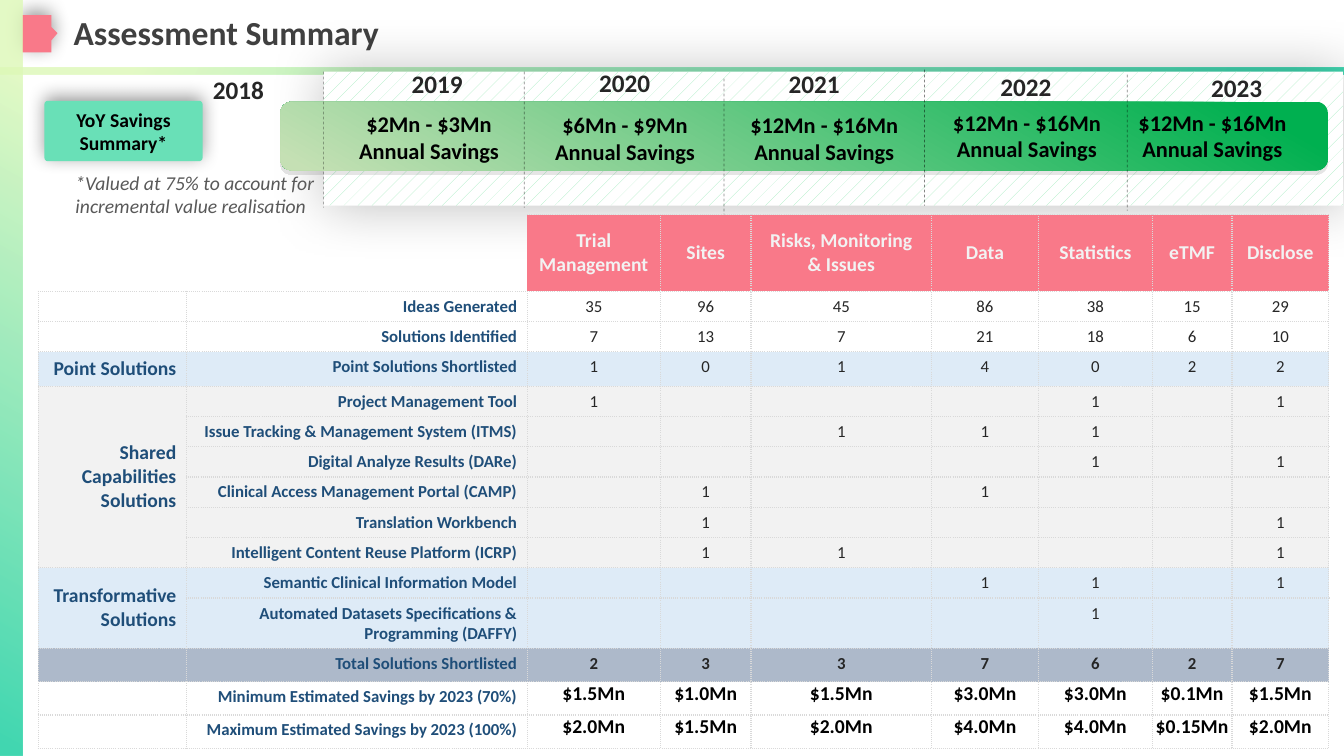
from dataclasses import dataclass

from lxml import etree
from pptx import Presentation
from pptx.dml.color import RGBColor
from pptx.enum.dml import MSO_LINE, MSO_PATTERN
from pptx.enum.shapes import MSO_CONNECTOR, MSO_SHAPE
from pptx.enum.text import MSO_ANCHOR, PP_ALIGN
from pptx.oxml import parse_xml
from pptx.oxml.ns import nsdecls, qn
from pptx.util import Pt

EMU_PER_PX = 9144  # 100 px to the inch
FONT = "Calibri"
LEFT, CENTER, RIGHT = PP_ALIGN.LEFT, PP_ALIGN.CENTER, PP_ALIGN.RIGHT
TOP, MIDDLE = MSO_ANCHOR.TOP, MSO_ANCHOR.MIDDLE
RECTANGLE, ROUNDED = MSO_SHAPE.RECTANGLE, MSO_SHAPE.ROUNDED_RECTANGLE
BLACK, DARK, NAVY, WHITE = "000000", "262626", "1F4E79", "FFFFFF"
CORAL, BLUE, GREY, STEEL = "F97989", "DEEBF7", "F2F2F2", "ADB9CA"


@dataclass
class Style:
    size: int
    color: str
    bold: bool = True
    italic: bool = False
    align: PP_ALIGN = CENTER
    anchor: MSO_ANCHOR = TOP


@dataclass
class YearSaving:
    """A year heading and the savings text beneath it, each with its own box."""
    year: str
    year_left: int
    year_top: int
    amount: str = ""
    left: int = 0
    top: int = 0
    width: int = 199


@dataclass
class Row:
    label: str
    values: list[str]
    height: int = 30
    fill: str = ""
    group: str = ""
    group_rows: int = 1


YEAR_STYLE = Style(18, DARK)
AMOUNT_STYLE = Style(16, BLACK)
HEADER_STYLE = Style(14, "F2F2F2", anchor=MIDDLE)
GROUP_STYLE = Style(14, NAVY, align=RIGHT, anchor=MIDDLE)
LABEL_STYLE = Style(12, NAVY, align=RIGHT)
VALUE_STYLE = Style(12, DARK, bold=False)
TOTAL_STYLE = Style(12, DARK)
MONEY_STYLE = Style(14, BLACK)

YEARS = [
    YearSaving("2018", 201, 69),
    YearSaving("2019", 398, 63, "$2Mn - $3Mn", 321, 104, 209),
    YearSaving("2020", 584, 62, "$6Mn - $9Mn", 525, 105, 190),
    YearSaving("2021", 772, 63, "$12Mn - $16Mn", 718, 105),
    YearSaving("2022", 982, 66, "$12Mn - $16Mn", 919, 103),
    YearSaving("2023", 1191, 67, "$12Mn - $16Mn", 1103, 103),
]
DIVIDERS = [(321, 71), (520, 71), (718, 78), (917, 69), (1118, 74)]
DIVIDER_HEIGHT = 135

COLUMN_WIDTHS = [147, 338, 132, 90, 179, 106, 113, 79, 96]
HEADERS = ["Trial Management", "Sites", "Risks, Monitoring & Issues", "Data",
           "Statistics", "eTMF", "Disclose"]
HEADER_HEIGHT = 76
ROWS = [
    Row("Ideas Generated", ["35", "96", "45", "86", "38", "15", "29"]),
    Row("Solutions Identified", ["7", "13", "7", "21", "18", "6", "10"]),
    Row("Point Solutions Shortlisted", ["1", "0", "1", "4", "0", "2", "2"], 34, BLUE,
        "Point Solutions"),
    Row("Project Management Tool", ["1", "", "", "", "1", "", "1"], 30, GREY,
        "Shared Capabilities Solutions", 6),
    Row("Issue Tracking & Management System (ITMS)",
        ["", "", "1", "1", "1", "", ""], 30, GREY),
    Row("Digital Analyze Results (DARe)", ["", "", "", "", "1", "", "1"], 30, GREY),
    Row("Clinical Access Management Portal (CAMP)",
        ["", "1", "", "1", "", "", ""], 30, GREY),
    Row("Translation Workbench", ["", "1", "", "", "", "", "1"], 30, GREY),
    Row("Intelligent Content Reuse Platform (ICRP)",
        ["", "1", "1", "", "", "", "1"], 30, GREY),
    Row("Semantic Clinical Information Model", ["", "", "", "1", "1", "", "1"], 30, BLUE,
        "Transformative Solutions", 2),
    Row("Automated Datasets Specifications & Programming (DAFFY)",
        ["", "", "", "", "1", "", ""], 50, BLUE),
    Row("Total Solutions Shortlisted", ["2", "3", "3", "7", "6", "2", "7"], 33, STEEL),
    Row("Minimum Estimated Savings by 2023 (70%)",
        ["$1.5Mn", "$1.0Mn", "$1.5Mn", "$3.0Mn", "$3.0Mn", "$0.1Mn", "$1.5Mn"], 33),
    Row("Maximum Estimated Savings by 2023 (100%)",
        ["$2.0Mn", "$1.5Mn", "$2.0Mn", "$4.0Mn", "$4.0Mn", "$0.15Mn", "$2.0Mn"], 33),
]


def px(*lengths: int) -> list[int]:
    return [length * EMU_PER_PX for length in lengths]


def rgb(color: str) -> RGBColor:
    return RGBColor.from_string(color)


def write(text_frame, text: str, style: Style) -> None:
    text_frame.text = text
    text_frame.vertical_anchor = style.anchor
    for paragraph in text_frame.paragraphs:
        paragraph.alignment = style.align
        for run in paragraph.runs:
            font = run.font
            font.name, font.size = FONT, Pt(style.size)
            font.bold, font.italic = style.bold, style.italic
            font.color.rgb = rgb(style.color)


def add_text(slide, box: tuple, text: str, style: Style, wrap: bool = True) -> None:
    text_frame = slide.shapes.add_textbox(*px(*box)).text_frame
    text_frame.word_wrap = wrap
    write(text_frame, text, style)


def add_block(slide, kind: MSO_SHAPE, box: tuple, fill: str = ""):
    shape = slide.shapes.add_shape(kind, *px(*box))
    shape.shadow.inherit = False
    shape.line.fill.background()
    if fill:
        shape.fill.solid()
        shape.fill.fore_color.rgb = rgb(fill)
    return shape


def set_gradient(shape, stops: list[tuple[int, str]], angle: int, opacity: int) -> None:
    marks = "".join(
        f'<a:gs pos="{position * 1000}"><a:srgbClr val="{color}">'
        f'<a:alpha val="{opacity * 1000}"/></a:srgbClr></a:gs>' for position, color in stops)
    shape.fill.background()
    properties = shape._element.spPr
    empty_fill = properties.find(qn("a:noFill"))
    properties.replace(empty_fill, parse_xml(
        f'<a:gradFill {nsdecls("a")} rotWithShape="1"><a:gsLst>{marks}</a:gsLst>'
        f'<a:lin ang="{angle * 60000}" scaled="0"/></a:gradFill>'))


def set_shadow(shape, opacity: int, blur: int, distance: int, angle: int) -> None:
    effects = shape._element.spPr.find(qn("a:effectLst"))
    effects.append(parse_xml(
        f'<a:outerShdw {nsdecls("a")} blurRad="{Pt(blur)}" dist="{Pt(distance)}" '
        f'dir="{angle * 60000}" algn="ctr" rotWithShape="0"><a:srgbClr val="{BLACK}">'
        f'<a:alpha val="{opacity * 1000}"/></a:srgbClr></a:outerShdw>'))


def add_divider(slide, x: int, top: int) -> None:
    line = slide.shapes.add_connector(
        MSO_CONNECTOR.STRAIGHT, *px(x, top, x, top + DIVIDER_HEIGHT))
    line.line.width, line.line.dash_style = Pt(0.5), MSO_LINE.DASH
    line.line.color.rgb = rgb(BLACK)
    color = line._element.spPr.find(".//" + qn("a:srgbClr"))
    etree.SubElement(color, qn("a:alpha"), val="48000")
    etree.SubElement(line._element.spPr, qn("a:effectLst"))


def fill_cell(cell, text: str, style: Style, fill: str, sides: str = "LRTB") -> None:
    write(cell.text_frame, text, style)
    cell.vertical_anchor = style.anchor
    if not text:
        etree.SubElement(cell.text_frame.paragraphs[0]._p, qn("a:endParaRPr"), sz="1200")
    if style is MONEY_STYLE:
        cell.margin_left = cell.margin_right = cell.margin_top = cell.margin_bottom = 0
    dotted = '<a:solidFill><a:srgbClr val="D9D9D9"/></a:solidFill><a:prstDash val="sysDot"/>'
    for side in "LRTB":
        look = dotted if side in sides else "<a:noFill/>"
        cell._tc.get_or_add_tcPr().append(parse_xml(
            f'<a:ln{side} {nsdecls("a")} w="{Pt(1)}">{look}</a:ln{side}>'))
    if fill:
        cell.fill.solid()
        cell.fill.fore_color.rgb = rgb(fill)
    else:
        cell.fill.background()


def value_style(row: Row, text: str) -> Style:
    if text.startswith("$"):
        return MONEY_STYLE
    return TOTAL_STYLE if row.fill == STEEL else VALUE_STYLE


def add_assessment_table(slide) -> None:
    heights = [HEADER_HEIGHT] + [row.height for row in ROWS]
    table = slide.shapes.add_table(
        len(heights), len(COLUMN_WIDTHS),
        *px(38, 213, sum(COLUMN_WIDTHS), sum(heights))).table
    table.first_row = table.horz_banding = False
    for column, width in zip(table.columns, px(*COLUMN_WIDTHS)):
        column.width = width
    for table_row, height in zip(table.rows, px(*heights)):
        table_row.height = height
    for index in (0, 1):
        fill_cell(table.cell(0, index), "", HEADER_STYLE, "", "B")
    for index, header in enumerate(HEADERS, 2):
        sides = "RTB" if index == 2 else "LRTB"
        fill_cell(table.cell(0, index), header, HEADER_STYLE, CORAL, sides)
    for number, row in enumerate(ROWS, 1):
        fill_cell(table.cell(number, 0), row.group, GROUP_STYLE, row.fill)
        fill_cell(table.cell(number, 1), row.label, LABEL_STYLE, row.fill or WHITE)
        for index, value in enumerate(row.values, 2):
            fill_cell(table.cell(number, index), value, value_style(row, value), row.fill)
    for number, row in enumerate(ROWS, 1):
        if row.group_rows > 1:
            table.cell(number, 0).merge(table.cell(number + row.group_rows - 1, 0))


def add_frame(slide) -> None:
    """Side bar, title rule and title marker."""
    builder = slide.shapes.build_freeform(57, 33, scale=EMU_PER_PX)
    builder.add_line_segments([(51, 40), (51, 52), (22, 52), (22, 15), (51, 15), (51, 27)])
    marker = builder.convert_to_shape()
    marker.shadow.inherit = False
    marker.fill.solid()
    marker.fill.fore_color.rgb = rgb(CORAL)
    marker.line.fill.background()
    set_shadow(marker, 40, 13, 3, 270)
    for box, angle, end in (((0, 0, 22, 750), 120, 98), ((0, 67, 1333, 7), 30, 92)):
        bar = add_block(slide, RECTANGLE, box)
        set_gradient(bar, [(10, "DDF9B8"), (end, "14CE9F")], angle, 80)


def add_timeline(slide) -> None:
    panel = add_block(slide, RECTANGLE, (321, 71, 1011, 133))
    panel.fill.patterned()
    panel.fill.pattern = MSO_PATTERN.PERCENT_5
    panel.fill.fore_color.rgb, panel.fill.back_color.rgb = rgb("A0ECBE"), rgb(WHITE)
    set_shadow(panel, 26, 41, 0, 70)
    band = add_block(slide, ROUNDED, (278, 101, 1039, 68))
    set_gradient(band, [(7, "00B050"), (98, "C5E0B4")], 120, 100)
    set_shadow(band, 10, 0, 3, 90)
    for x, top in DIVIDERS:
        add_divider(slide, x, top)
    for item in YEARS:
        add_text(slide, (item.year_left, item.year_top, 71, 40), item.year, YEAR_STYLE, False)
        if item.amount:
            add_text(slide, (item.left, item.top, item.width, 64),
                     f"{item.amount}\nAnnual Savings", AMOUNT_STYLE)


def main() -> None:
    presentation = Presentation()
    presentation.slide_width, presentation.slide_height = px(1333, 750)
    slide = presentation.slides.add_slide(presentation.slide_layouts[5])
    title = slide.shapes.title
    title.left, title.top, title.width, title.height = px(73, 16, 923, 37)
    frame = title.text_frame
    frame.margin_left = frame.margin_right = frame.margin_top = frame.margin_bottom = 0
    write(frame, "Assessment Summary", Style(24, "404040", align=LEFT, anchor=MIDDLE))
    frame.paragraphs[0].line_spacing = 0.9
    add_frame(slide)
    add_timeline(slide)
    add_assessment_table(slide)
    badge = add_block(slide, ROUNDED, (44, 100, 157, 60), "69E0B7")
    badge.adjustments[0] = 0.06
    set_shadow(badge, 40, 13, 3, 270)
    write(badge.text_frame, "YoY Savings Summary*", Style(14, BLACK, anchor=MIDDLE))
    add_text(slide, (65, 163, 284, 59),
             "*Valued at 75% to account for incremental value realisation",
             Style(14, "595959", bold=False, italic=True, align=LEFT, anchor=MIDDLE))
    presentation.save("out.pptx")


if __name__ == "__main__":
    main()
